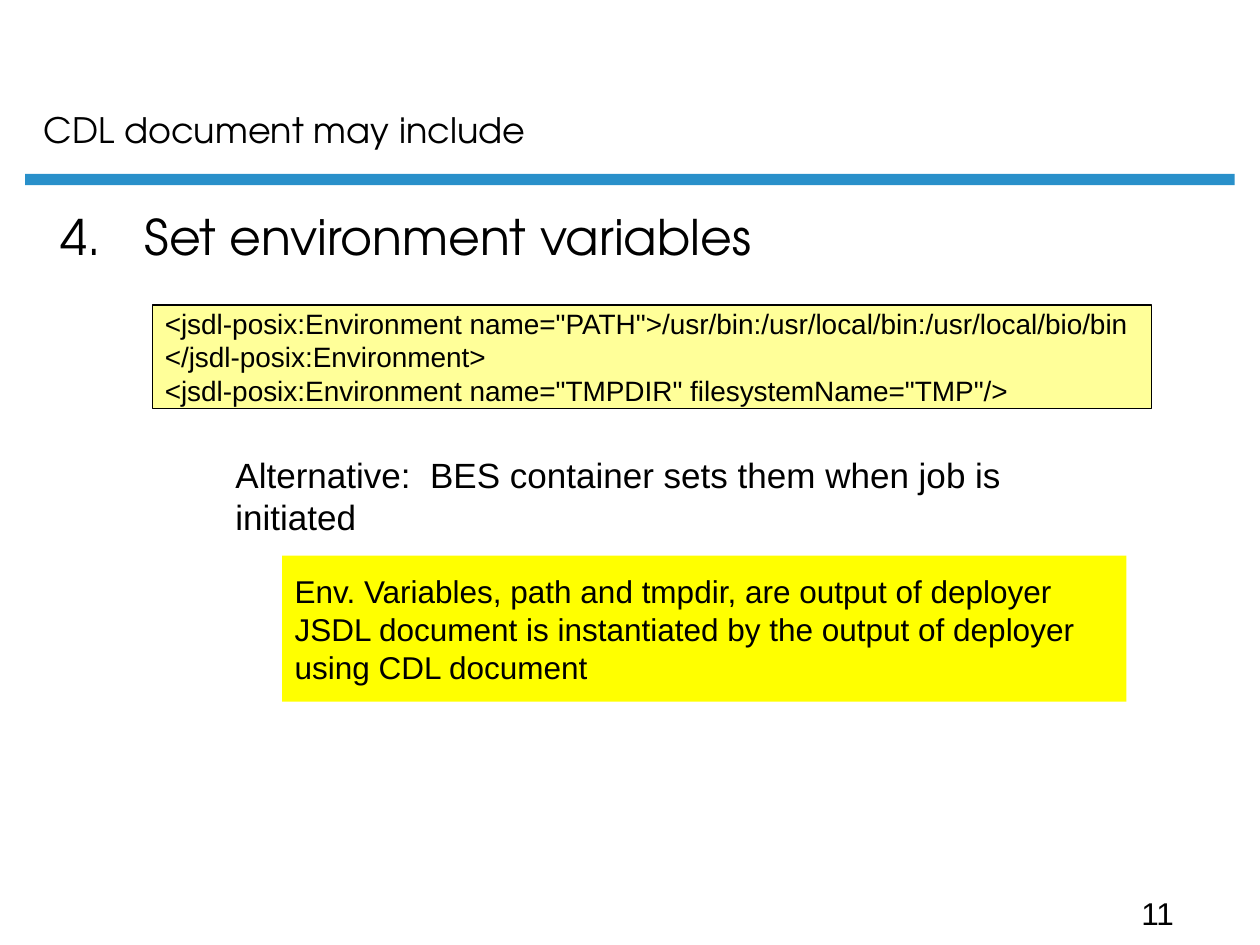
from lxml.etree import SubElement
from pptx import Presentation
from pptx.dml.color import RGBColor
from pptx.enum.shapes import MSO_SHAPE
from pptx.enum.text import MSO_ANCHOR, PP_ALIGN
from pptx.oxml.ns import qn
from pptx.util import Inches, Pt

BLACK = RGBColor(0x00, 0x00, 0x00)
BLUE = RGBColor(0x29, 0x90, 0xCA)
PALE_YELLOW = RGBColor(0xFF, 0xFF, 0x99)
YELLOW = RGBColor(0xFF, 0xFF, 0x00)
HEADING_FONT = "TeX Gyre Adventor"
BODY_FONT = "Arial"


class SlideBuilder:
    def __init__(self, slide):
        self.slide = slide

    def set_lines(self, sp, lines, size, font=BODY_FONT, anchor=MSO_ANCHOR.TOP,
                  wrap=True, number=None):
        """Fill a shape with left-aligned lines, numbered from number if given."""
        tf = sp.text_frame
        tf.word_wrap = wrap
        tf.vertical_anchor = anchor
        tf.text = "\n".join(lines)
        style = {"name": font, "size": Pt(size)}
        for p in tf.paragraphs:
            p.alignment = PP_ALIGN.LEFT
            if number is not None:
                self.add_number(p, number)
            for r in p.runs:
                for key, value in style.items():
                    setattr(r.font, key, value)
                r.font.color.rgb = BLACK

    def add_number(self, p, start, indent=Inches(0.67)):
        pPr = p._p.get_or_add_pPr()
        pPr.set("marL", str(indent))
        pPr.set("indent", str(-indent))
        SubElement(pPr, qn("a:buAutoNum"), type="arabicPeriod", startAt=str(start))

    def text(self, box, line, size, **style):
        sp = self.slide.shapes.add_textbox(*map(Inches, box))
        self.set_lines(sp, [line], size, **style)

    def rect(self, box, fill, line=None):
        sp = self.slide.shapes.add_shape(MSO_SHAPE.RECTANGLE, *map(Inches, box))
        sp.shadow.inherit = False
        sp.fill.solid()
        sp.fill.fore_color.rgb = fill
        if line is None:
            sp.line.fill.background()
        else:
            sp.line.color.rgb = line
            sp.line.width = Pt(0.75)
        return sp

    def panel(self, box, lines, size, fill, line=None):
        sp = self.rect(box, fill, line)
        self.set_lines(sp, lines, size, anchor=MSO_ANCHOR.MIDDLE)


def main():
    prs = Presentation()
    prs.slide_width, prs.slide_height = Inches(10), Inches(7.5)
    s = SlideBuilder(prs.slides.add_slide(prs.slide_layouts[6]))

    s.rect((0.2, 1.38, 9.6, 0.09), BLUE)
    s.text((8.96, 7.05, 1.04, 0.4), "11", 18)
    s.text((0.25, 0.42, 8.56, 0.82), "CDL document may include", 20,
           font=HEADING_FONT, anchor=MSO_ANCHOR.BOTTOM)
    s.text((0.38, 1.59, 9, 4.95), "Set environment variables", 28,
           font=HEADING_FONT, number=4)
    s.panel((1.21, 2.42, 7.93, 0.82), [
        '<jsdl-posix:Environment name="PATH">/usr/bin:/usr/local/bin:/usr/local/bio/bin',
        "</jsdl-posix:Environment>",
        '<jsdl-posix:Environment name="TMPDIR" filesystemName="TMP"/>',
    ], 16, PALE_YELLOW, BLACK)
    s.text((1.77, 3.55, 7.31, 0.44),
           "Alternative:  BES container sets them when job is initiated", 20, wrap=False)
    s.panel((2.24, 4.41, 6.7, 1.16), [
        "Env. Variables, path and tmpdir, are output of deployer",
        "JSDL document is instantiated by the output of deployer",
        "using CDL document",
    ], 18, YELLOW)

    prs.save("out.pptx")


if __name__ == "__main__":
    main()
